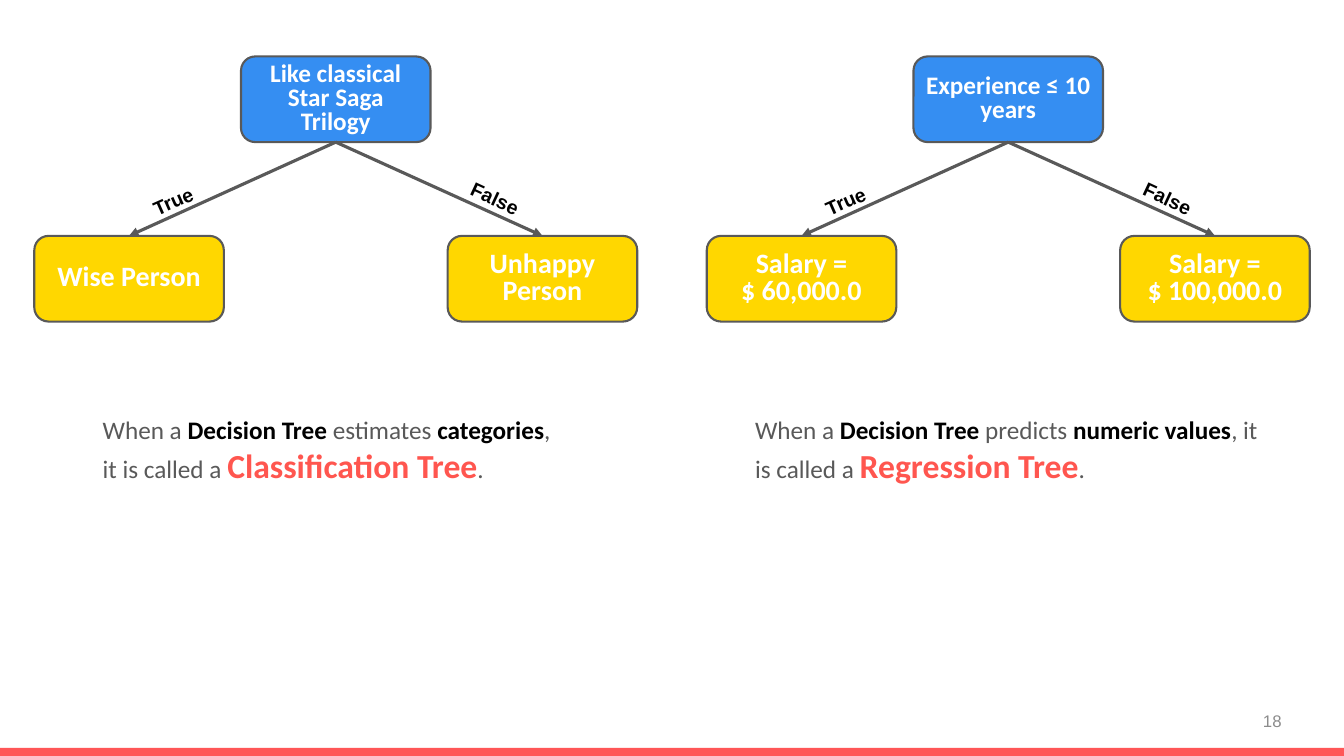
from pptx import Presentation
from pptx.dml.color import RGBColor
from pptx.enum.shapes import MSO_CONNECTOR, MSO_SHAPE
from pptx.enum.text import MSO_ANCHOR, PP_ALIGN
from pptx.oxml.ns import qn
from pptx.util import Inches, Pt
from lxml.etree import SubElement

GRAY, BLUE, GOLD, RED = "595959", "358EF2", "FFD700", "FF564F"
NODE_WIDTH, NODE_HEIGHT = 1.88, 0.85
ROOT_TOP, LEAF_TOP, LEAF_OFFSET = 0.56, 2.34, 2.05


def color(value):
    return RGBColor.from_string(value)


def write(shape, text, size=18, font="Calibri", fill=GRAY, bold=False,
          align=PP_ALIGN.LEFT, spacing=None, anchor=MSO_ANCHOR.TOP, wrap=True):
    """Append formatted text to the first paragraph of a shape."""
    frame = shape.text_frame
    frame.word_wrap = wrap
    frame.vertical_anchor = anchor
    paragraph = frame.paragraphs[0]
    paragraph.alignment = align
    paragraph.line_spacing = spacing
    for index, line in enumerate(text.split("\n")):
        if index:
            paragraph.add_line_break()
        run = paragraph.add_run()
        run.text = line
        run.font.size = Pt(size)
        run.font.name = font
        run.font.bold = bold
        run.font.color.rgb = color(fill)


prs = Presentation()
prs.slide_width, prs.slide_height = Inches(13.33), Inches(7.5)
slide = prs.slides.add_slide(prs.slide_layouts[6])

# Footer band
band = slide.shapes.add_shape(MSO_SHAPE.RECTANGLE, 0, Inches(7.42), Inches(13.33), Inches(0.08))
band.shadow.inherit = False
band.fill.solid()
band.fill.fore_color.rgb = color("FF5657")
band.line.fill.background()

# Trees: center, root, true leaf, false leaf, explanation left and width, verb, estimate, name
trees = [
    (3.33, "Like classical Star Saga Trilogy", "Wise Person", "Unhappy Person",
     0.92, 4.82, "estimates", "categories", "Classification Tree"),
    (10, "Experience ≤ 10 years", "Salary =\n$ 60,000.0", "Salary =\n$ 100,000.0",
     7.39, 5.22, "predicts", "numeric values", "Regression Tree"),
]
for (center, question, true_leaf, false_leaf,
     note_left, note_width, verb, estimate, tree_name) in trees:
    tree = slide.shapes.add_group_shape().shapes

    # Nodes
    nodes = []
    for label, middle, top, fill, size in [
        (question, center, ROOT_TOP, BLUE, 18),
        (true_leaf, center - LEAF_OFFSET, LEAF_TOP, GOLD, 20),
        (false_leaf, center + LEAF_OFFSET, LEAF_TOP, GOLD, 20),
    ]:
        node = tree.add_shape(MSO_SHAPE.ROUNDED_RECTANGLE, Inches(middle - NODE_WIDTH / 2),
                              Inches(top), Inches(NODE_WIDTH), Inches(NODE_HEIGHT))
        node.shadow.inherit = False
        node.fill.solid()
        node.fill.fore_color.rgb = color(fill)
        node.line.color.rgb = color(GRAY)
        node.line.width = Pt(1.5)
        node.text_frame.margin_left = node.text_frame.margin_right = Inches(0.06)
        node.text_frame.margin_top = node.text_frame.margin_bottom = 0
        write(node, label, size=size, fill="FFFFFF", bold=True, align=PP_ALIGN.CENTER,
              spacing=0.8, anchor=MSO_ANCHOR.MIDDLE)
        nodes.append(node)

    # Branches from the root's bottom to each leaf's top
    root, *leaves = nodes
    for leaf in leaves:
        branch = tree.add_connector(MSO_CONNECTOR.STRAIGHT, 0, 0, 0, 0)
        branch.begin_connect(root, 2)
        branch.end_connect(leaf, 0)
        branch.line.color.rgb = color(GRAY)
        branch.line.width = Pt(2.25)
        SubElement(branch.line._get_or_add_ln(), qn("a:tailEnd"), type="triangle")
        SubElement(branch._element.spPr, qn("a:effectLst"))

    # Branch labels
    for answer, offset, width, angle in [("False", 1.23, 0.74, 25), ("True", -1.92, 0.69, 336)]:
        answer_box = tree.add_textbox(Inches(center + offset), Inches(1.81),
                                      Inches(width), Inches(0.34))
        answer_box.rotation = angle
        write(answer_box, answer, size=14, font="Arial", fill="000000", bold=True, wrap=False)

    # Explanation
    note = slide.shapes.add_textbox(Inches(note_left), Inches(4.06),
                                    Inches(note_width), Inches(0.81))
    write(note, "When a ")
    write(note, "Decision Tree", fill="000000", bold=True)
    write(note, f" {verb} ")
    write(note, estimate, fill="000000", bold=True)
    write(note, ", it is called a ")
    write(note, tree_name, size=24, fill=RED, bold=True)
    write(note, ".")

# Page number
page_number = slide.shapes.add_textbox(Inches(9.81), Inches(6.95), Inches(3), Inches(0.4))
write(page_number, "18", size=12, font="Arial", fill="8C8C8C",
      align=PP_ALIGN.RIGHT, anchor=MSO_ANCHOR.MIDDLE)

prs.save("out.pptx")
